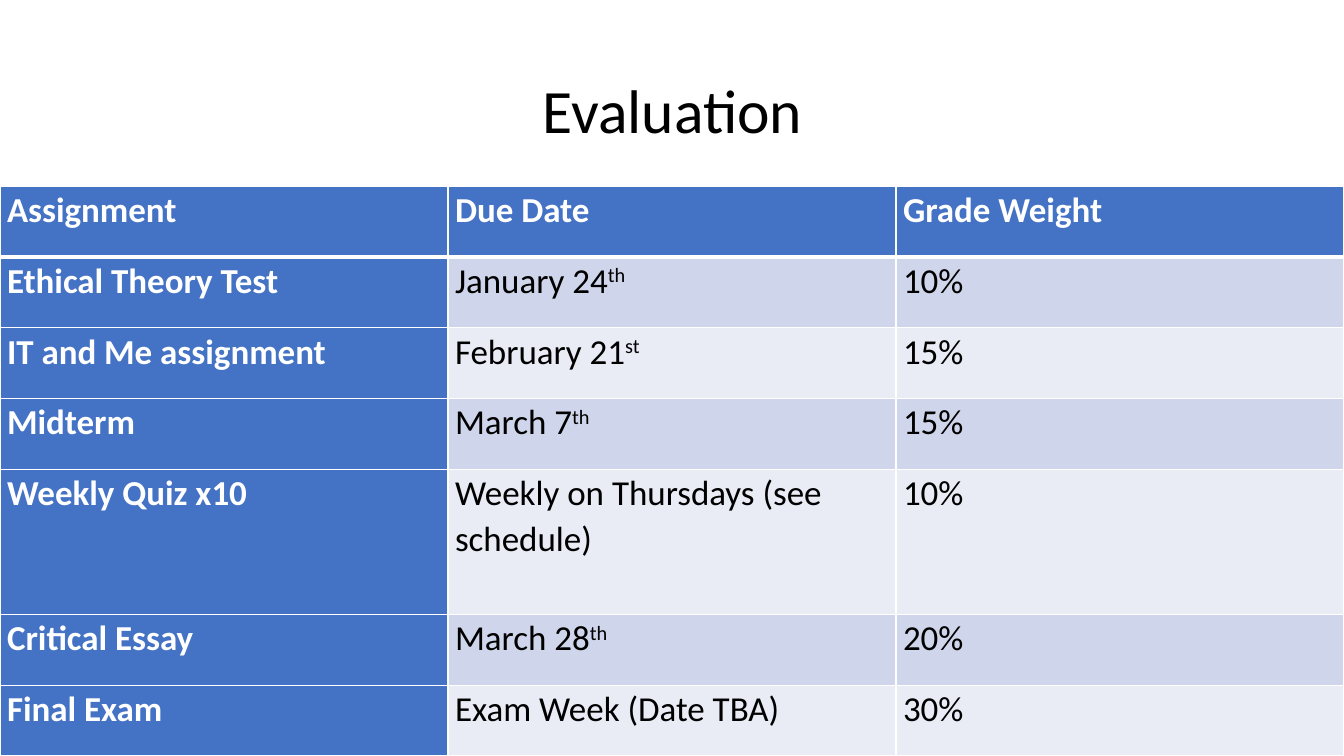
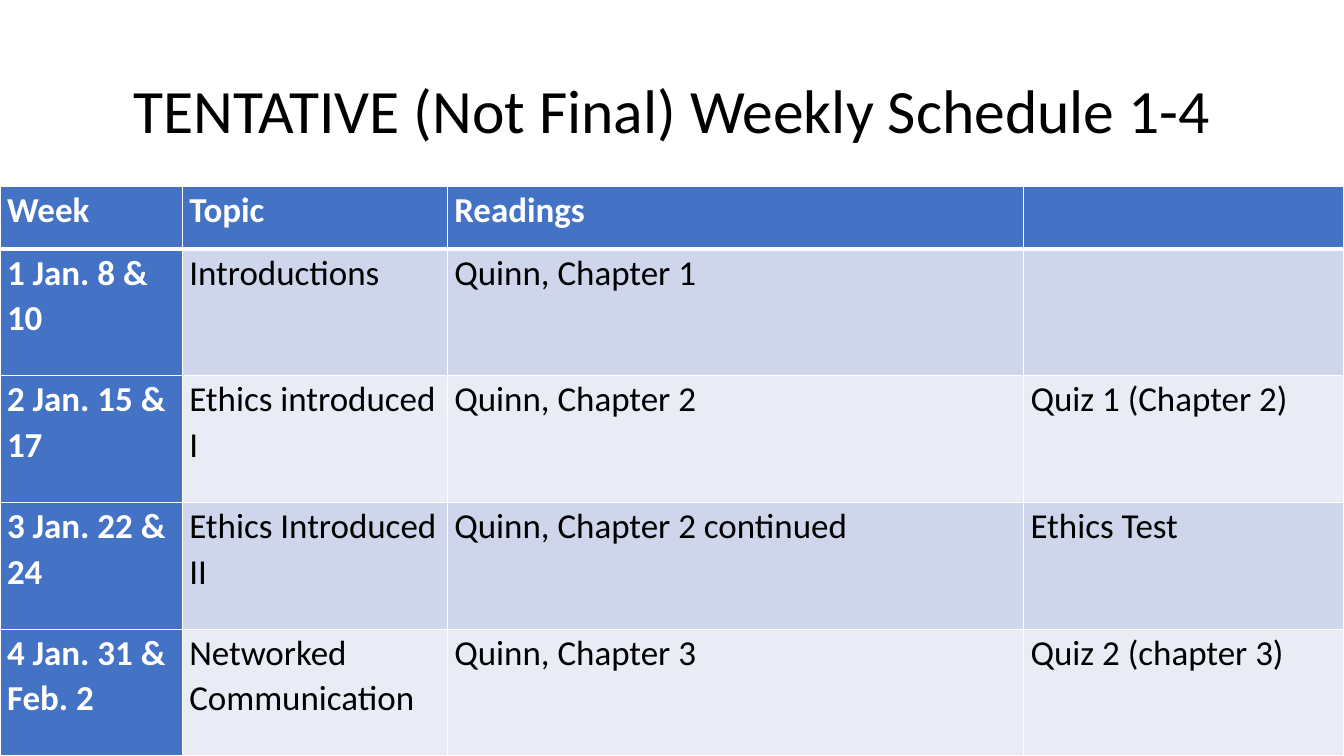
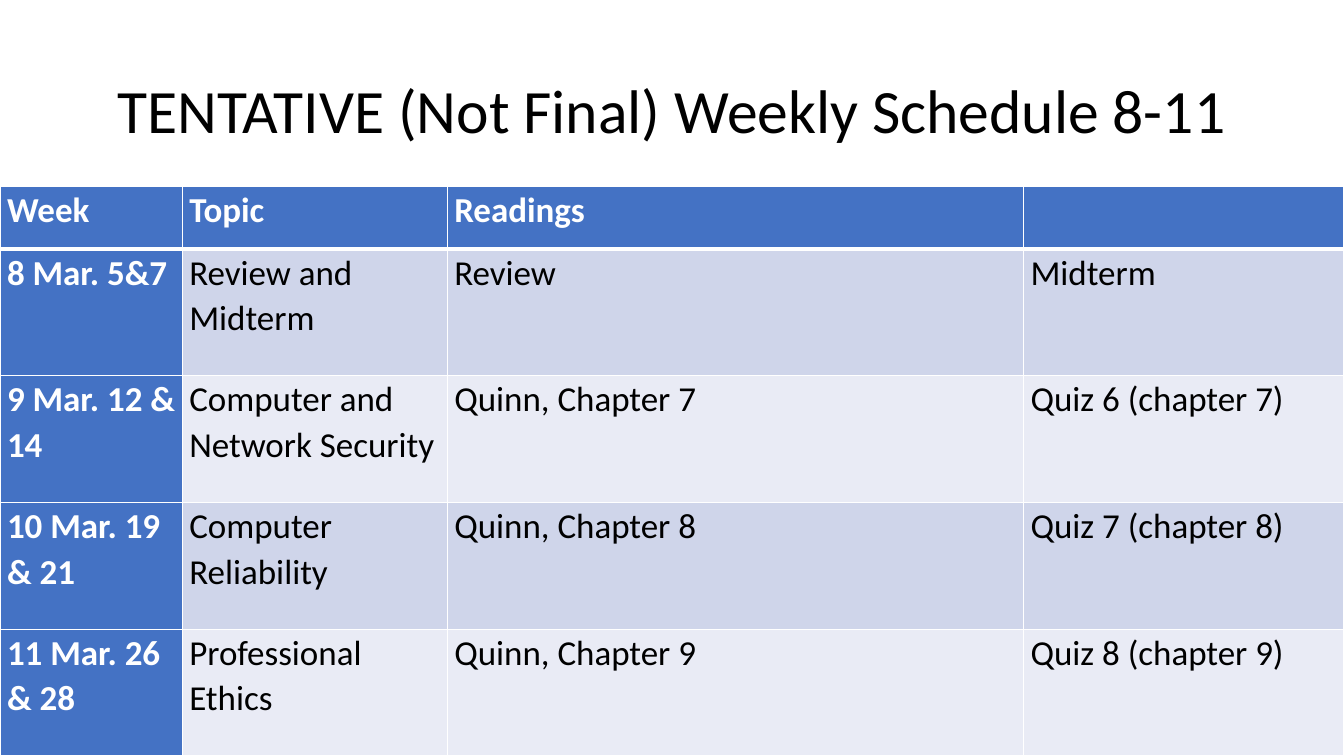
from lxml import etree
from pptx import Presentation
from pptx.dml.color import RGBColor
from pptx.enum.text import MSO_ANCHOR, MSO_AUTO_SIZE, PP_ALIGN
from pptx.oxml.ns import qn
from pptx.util import Inches, Pt

CENTER, MIDDLE, NO_FIT = PP_ALIGN.CENTER, MSO_ANCHOR.MIDDLE, MSO_AUTO_SIZE.NONE

COLORS = {"heading": "4472C4", "odd": "CFD5EA", "even": "E9EBF5",
          "rule": "FFFFFF", "light": "FFFFFF", "dark": "000000"}
FONT = "Calibri"
TITLE_SIZE, CELL_SIZE = 44, 25
SLIDE_W, SLIDE_H = 13.33, 7.5
TITLE_BOX = (0.92, 0.4, 11.5, 1.45)
TABLE_TOP = 1.85
TABLE_H = SLIDE_H - TABLE_TOP

# Column and row values are proportions; "^" starts a superscript.
EVALUATION_GRID = {"columns": [1, 1, 1],
                   "rows": [0.7, 0.7, 0.7, 0.7, 1.44, 0.7, 0.7]}
SCHEDULE_GRID = {"columns": [1.81, 2.63, 5.72, 3.18],
                 "rows": [0.62, 1.26, 1.26, 1.26, 1.26]}
SCHEDULE_HEADER = ("Week", "Topic", "Readings", "")

SLIDES = [
    ("Evaluation", EVALUATION_GRID, [
        ("Assignment", "Due Date", "Grade Weight"),
        ("Ethical Theory Test", "January 24^th", "10%"),
        ("IT and Me assignment", "February 21^st", "15%"),
        ("Midterm", "March 7^th", "15%"),
        ("Weekly Quiz x10", "Weekly on Thursdays (see schedule)", "10%"),
        ("Critical Essay", "March 28^th", "20%"),
        ("Final Exam", "Exam Week (Date TBA)", "30%"),
    ]),
    ("TENTATIVE (Not Final) Weekly Schedule 1-4", SCHEDULE_GRID, [
        SCHEDULE_HEADER,
        ("1 Jan. 8 & 10", "Introductions", "Quinn, Chapter 1", ""),
        ("2 Jan. 15 & 17", "Ethics introduced I", "Quinn, Chapter 2",
         "Quiz 1 (Chapter 2)"),
        ("3 Jan. 22 & 24", "Ethics Introduced II",
         "Quinn, Chapter 2 continued", "Ethics Test"),
        ("4 Jan. 31 & Feb. 2", "Networked Communication",
         "Quinn, Chapter 3", "Quiz 2 (chapter 3)"),
    ]),
    ("TENTATIVE (Not Final) Weekly Schedule 8-11", SCHEDULE_GRID, [
        SCHEDULE_HEADER,
        ("8 Mar. 5&7", "Review and Midterm", "Review", "Midterm"),
        ("9 Mar. 12 & 14", "Computer and Network Security",
         "Quinn, Chapter 7", "Quiz 6 (chapter 7)"),
        ("10 Mar. 19 & 21", "Computer Reliability", "Quinn, Chapter 8",
         "Quiz 7 (chapter 8)"),
        ("11 Mar. 26 & 28", "Professional Ethics", "Quinn, Chapter 9",
         "Quiz 8 (chapter 9)"),
    ]),
]


def style_font(font, size, color, bold=False):
    font.name, font.size, font.bold = FONT, Pt(size), bold
    font.color.rgb = RGBColor.from_string(COLORS[color])


def set_borders(cell, row):
    """Draw thin rules, with a thick one between header and body."""
    tc_pr = cell._tc.get_or_add_tcPr()
    widths = {"L": 1, "R": 1, "T": 3 if row == 1 else 1,
              "B": 3 if row == 0 else 1}
    for side, width in widths.items():
        line = etree.SubElement(tc_pr, qn(f"a:ln{side}"), w=str(Pt(width)))
        fill = etree.SubElement(line, qn("a:solidFill"))
        etree.SubElement(fill, qn("a:srgbClr"), val=COLORS["rule"])


def fill_cell(cell, text, row, column):
    is_heading = row == 0 or column == 0
    set_borders(cell, row)
    cell.fill.solid()
    band = "heading" if is_heading else "odd" if row % 2 else "even"
    cell.fill.fore_color.rgb = RGBColor.from_string(COLORS[band])
    cell.margin_left = cell.margin_right = Inches(0.07)
    cell.margin_top = cell.margin_bottom = 0

    main, _, ordinal = text.partition("^")
    paragraph = cell.text_frame.paragraphs[0]
    paragraph.text = main
    paragraph.line_spacing = 1.07
    if ordinal:
        suffix = paragraph.add_run()
        suffix.text = ordinal
        suffix._r.get_or_add_rPr().set("baseline", "30000")
    for run in paragraph.runs:
        style_font(run.font, CELL_SIZE, "light" if is_heading else "dark",
                   is_heading)


def share_out(tracks, proportions, total):
    for track, length in zip(tracks, proportions):
        size = Inches(total * length / sum(proportions))
        if hasattr(track, "width"):
            track.width = size
        else:
            track.height = size


def add_grid(slide, grid, rows):
    table = slide.shapes.add_table(
        len(rows), len(rows[0]), 0, Inches(TABLE_TOP),
        Inches(SLIDE_W), Inches(TABLE_H)).table
    table.horz_banding = False
    share_out(table.columns, grid["columns"], SLIDE_W)
    share_out(table.rows, grid["rows"], TABLE_H)
    for r, row in enumerate(rows):
        for c, text in enumerate(row):
            fill_cell(table.cell(r, c), text, r, c)


def set_title(slide, text):
    title = slide.shapes.title
    title.left, title.top, title.width, title.height = map(Inches, TITLE_BOX)
    frame = title.text_frame
    frame.text = text
    frame.vertical_anchor = MIDDLE
    frame.auto_size = NO_FIT
    paragraph = frame.paragraphs[0]
    paragraph.alignment = CENTER
    paragraph.line_spacing = 0.9
    style_font(paragraph.runs[0].font, TITLE_SIZE, "dark")


def main():
    deck = Presentation()
    deck.slide_width, deck.slide_height = Inches(SLIDE_W), Inches(SLIDE_H)
    title_only = deck.slide_layouts[5]
    for title, grid, rows in SLIDES:
        slide = deck.slides.add_slide(title_only)
        set_title(slide, title)
        add_grid(slide, grid, rows)
    deck.save("out.pptx")


if __name__ == "__main__":
    main()
